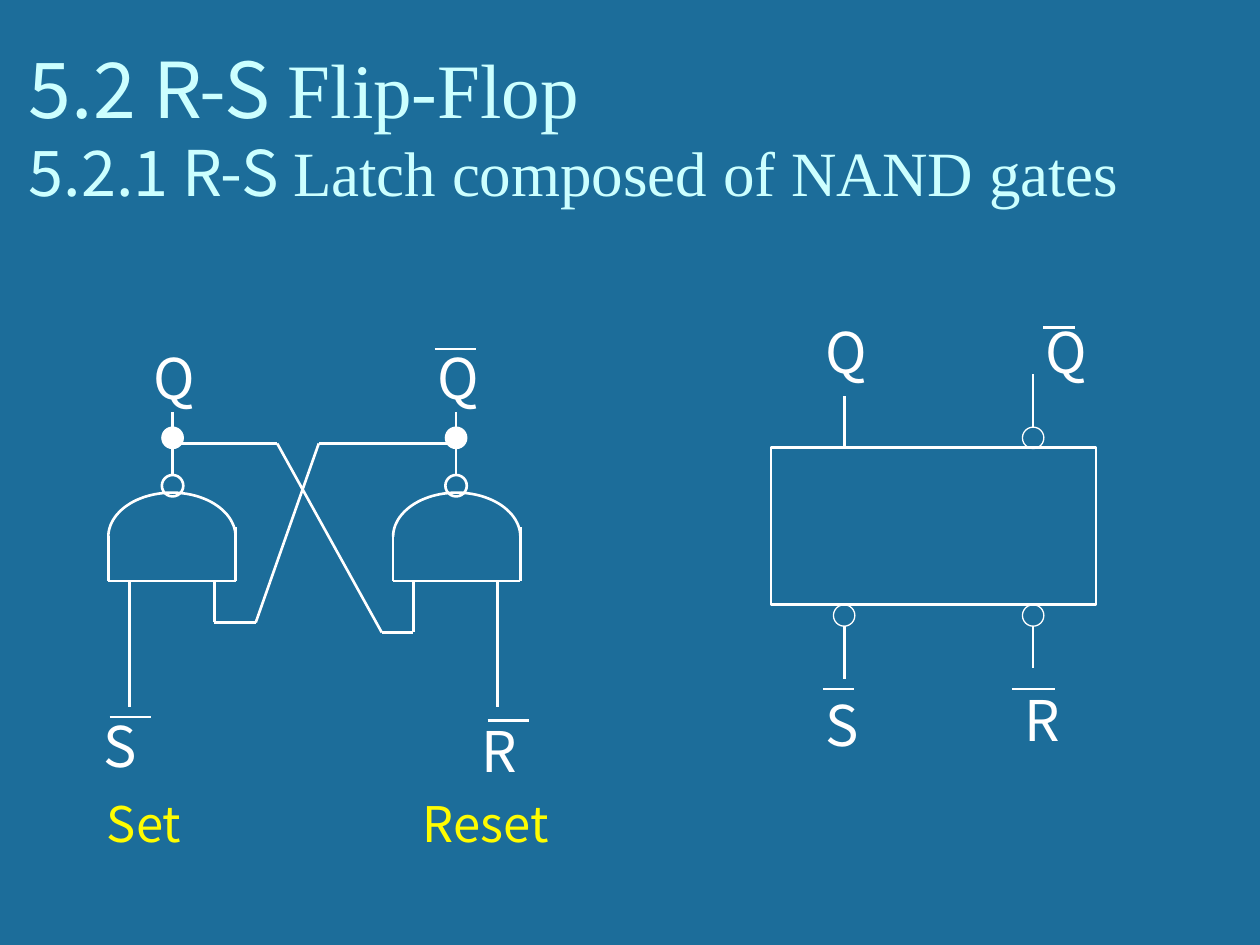
from math import cos, pi, sin

from lxml import etree
from pptx import Presentation
from pptx.dml.color import RGBColor
from pptx.enum.shapes import MSO_CONNECTOR, MSO_SHAPE
from pptx.enum.text import MSO_ANCHOR, MSO_AUTO_SIZE, PP_ALIGN
from pptx.oxml.ns import qn
from pptx.util import Inches, Pt

STRAIGHT = MSO_CONNECTOR.STRAIGHT
RECTANGLE, OVAL = MSO_SHAPE.RECTANGLE, MSO_SHAPE.OVAL
BOTTOM = MSO_ANCHOR.BOTTOM
FIT_SHAPE = MSO_AUTO_SIZE.SHAPE_TO_FIT_TEXT
LEFT, CENTER = PP_ALIGN.LEFT, PP_ALIGN.CENTER

BLUE = RGBColor(0x1C, 0x6D, 0x9A)
ICE = RGBColor(0xCC, 0xFF, 0xFF)
WHITE = RGBColor(0xFF, 0xFF, 0xFF)
YELLOW = RGBColor(0xFF, 0xFC, 0x00)
SANS, SERIF = "Noto Sans CJK SC", "Times New Roman"
TITLE_ONLY = 5
DOT = 0.17


class Diagram:
    def __init__(self, prs):
        self.slide = prs.slides.add_slide(prs.slide_layouts[TITLE_ONLY])
        fill = self.slide.background.fill
        fill.solid()
        fill.fore_color.rgb = BLUE

    def run(self, paragraph, text, size, color, font=SANS):
        run = paragraph.add_run()
        run.text = text
        run.font.size = Pt(size)
        run.font.name = font
        run.font.color.rgb = color

    def title(self, lines, left, top, width, height):
        title = self.slide.shapes.title
        title.left, title.top = Inches(left), Inches(top)
        title.width, title.height = Inches(width), Inches(height)
        frame = title.text_frame
        frame.vertical_anchor = BOTTOM
        frame.auto_size = FIT_SHAPE
        heading = frame.paragraphs[0]
        heading.alignment = LEFT
        for index, (number, words, size) in enumerate(lines):
            if index:
                heading.add_line_break()
            self.run(heading, number, size, ICE)
            self.run(heading, words, size, ICE, SERIF)

    def text(self, words, left, top, width=0.42, height=0.63, size=32,
             color=WHITE, align=LEFT, wrap=False):
        box = self.slide.shapes.add_textbox(
            Inches(left), Inches(top), Inches(width), Inches(height))
        box.text_frame.word_wrap = wrap
        box.text_frame.auto_size = FIT_SHAPE
        paragraph = box.text_frame.paragraphs[0]
        paragraph.alignment = align
        self.run(paragraph, words, size, color)

    def outline(self, shape, weight, filled=False):
        shape.shadow.inherit = False
        if filled:
            shape.fill.solid()
            shape.fill.fore_color.rgb = WHITE
        else:
            shape.fill.background()
        shape.line.color.rgb = WHITE
        shape.line.width = Pt(weight)
        return shape

    def block(self, left, top, width, height):
        block = self.slide.shapes.add_shape(
            RECTANGLE, Inches(left), Inches(top), Inches(width), Inches(height))
        self.outline(block, 1.5)

    def circle(self, center, top, weight=0.75, filled=False):
        circle = self.slide.shapes.add_shape(
            OVAL, Inches(center - DOT / 2), Inches(top), Inches(DOT), Inches(DOT))
        return self.outline(circle, weight, filled)

    def line(self, x1, y1, x2, y2):
        line = self.slide.shapes.add_connector(
            STRAIGHT, Inches(x1), Inches(y1), Inches(x2), Inches(y2))
        line.line.color.rgb = WHITE
        line.line.width = Pt(1.5)
        etree.SubElement(line._element.spPr, qn("a:effectLst"))
        return line

    def wire(self, *points):
        for start, end in zip(points, points[1:]):
            self.line(*start, *end)

    def dome(self, left, top, width, height, steps=48):
        center, base = left + width / 2, top + height
        angles = [pi - pi * step / steps for step in range(steps + 1)]
        points = [(Inches(center + width / 2 * cos(angle)),
                   Inches(base - height * sin(angle))) for angle in angles]
        builder = self.slide.shapes.build_freeform(*points[0], scale=1.0)
        builder.add_line_segments(points[1:], close=False)
        self.outline(builder.convert_to_shape(), 1.5)

    def gate(self, left):
        right = left + 1.01
        self.dome(left, 3.91, 1.01, 0.35)
        self.wire((left, 4.25), (left, 4.61), (right, 4.61), (right, 4.18))

    def output(self, x):
        bubble = self.circle(x, 3.77, 1.5)
        stem = self.line(x, 3.77, x, 3.27)
        stem.begin_connect(bubble, 0)
        self.circle(x, 3.39, filled=True)


def draw_symbol(diagram):
    diagram.block(6.12, 3.55, 2.58, 1.25)
    for x, top, start, end in ((6.7, 4.8, 4.97, 5.39),
                               (8.2, 4.8, 4.97, 5.3),
                               (8.2, 3.39, 3.39, 2.97)):
        bubble = diagram.circle(x, top)
        pin = diagram.line(x, start, x, end)
        pin.begin_connect(bubble, 2 if end > start else 0)
    diagram.line(6.7, 3.55, 6.7, 3.14)
    for name, left, top in (("S", 6.45, 5.43), ("R", 8.03, 5.39),
                            ("Q", 6.45, 2.47), ("Q", 8.2, 2.47)):
        diagram.text(name, left, top)
    for left, right, y in ((6.53, 6.78, 5.47), (8.03, 8.37, 5.47),
                           (8.28, 8.53, 2.6)):
        diagram.line(left, y, right, y)


def draw_latch(diagram):
    for x, gate_left in ((1.37, 0.86), (3.62, 3.12)):
        diagram.output(x)
        diagram.gate(gate_left)
        diagram.text("Q", x - 0.25, 2.68)
    diagram.wire((1.37, 3.52), (2.2, 3.52), (3.03, 5.02), (3.28, 5.02), (3.28, 4.61))
    diagram.wire((3.62, 3.52), (2.53, 3.52), (2.03, 4.94), (1.7, 4.94), (1.7, 4.61))
    for x in (1.03, 3.95):
        diagram.line(x, 4.61, x, 5.61)
    diagram.text("S", 0.72, 5.6)
    diagram.text("R", 3.72, 5.64)
    for left, y in ((3.45, 2.77), (0.87, 5.69), (3.87, 5.72)):
        diagram.line(left, y, left + 0.33, y)
    diagram.text("Set", 0.75, 6.25, 1.81, 0.57, 28, YELLOW, wrap=True)
    diagram.text("Reset", 2.87, 6.25, 1.97, 0.57, 28, YELLOW, CENTER, True)


def main():
    prs = Presentation()
    prs.slide_width, prs.slide_height = Inches(10), Inches(7.5)
    diagram = Diagram(prs)
    diagram.title((("5.2 R-S ", "Flip-Flop", 44),
                   ("5.2.1 R-S ", "Latch composed of NAND gates", 36)),
                  0.13, 0.26, 10.06, 1.45)
    draw_symbol(diagram)
    draw_latch(diagram)
    prs.save("out.pptx")


if __name__ == "__main__":
    main()
